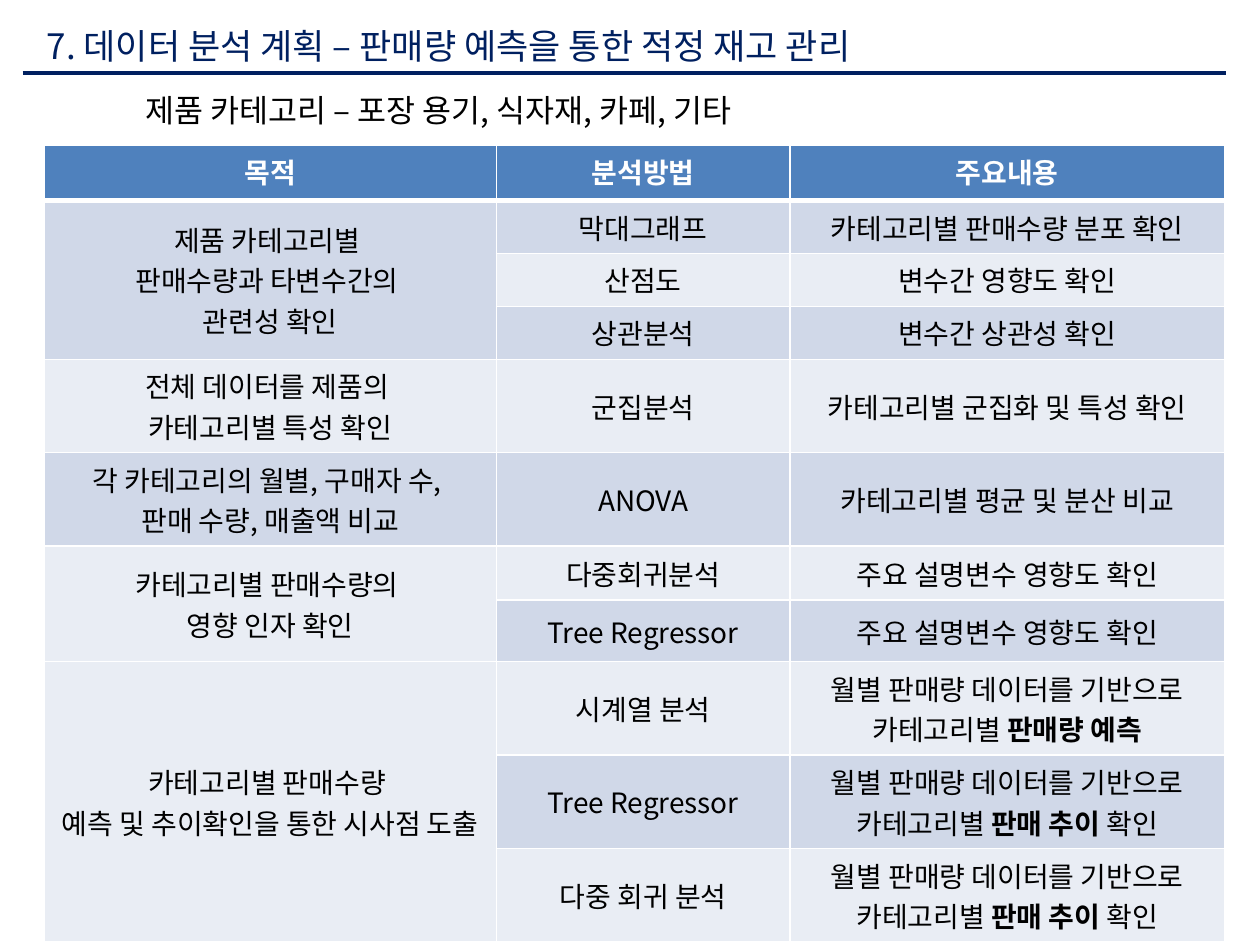
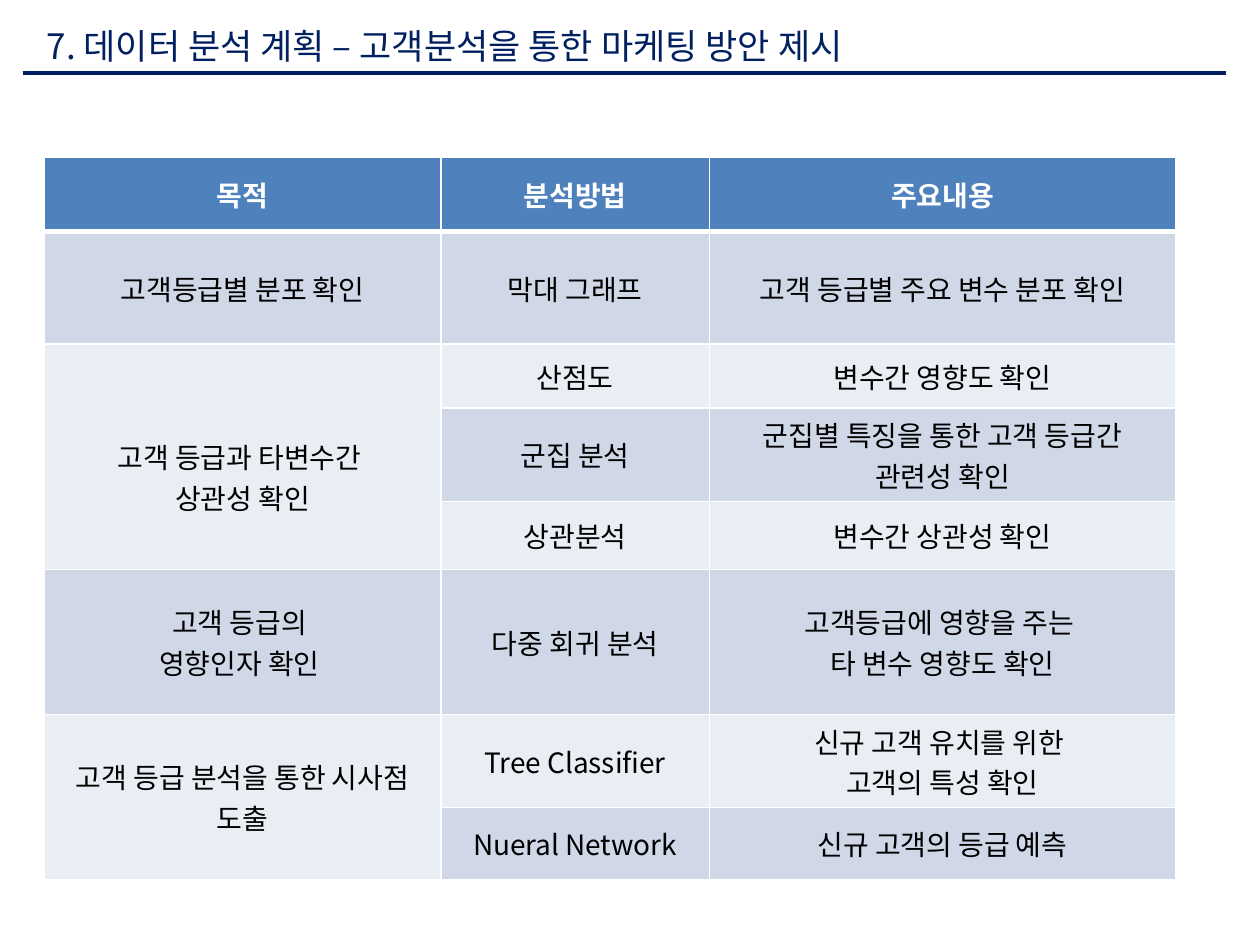
import lxml.etree
import pptx
import pptx.dml.color
import pptx.enum.shapes
import pptx.enum.text
import pptx.oxml.ns
import pptx.util

Inches = pptx.util.Inches
Pt = pptx.util.Pt
ANCHOR = pptx.enum.text.MSO_ANCHOR
ALIGN = pptx.enum.text.PP_ALIGN

FONT = "Noto Sans CJK KR"
NAVY, BLUE, WHITE, BLACK = "002060", "4F81BD", "FFFFFF", "000000"
BANDS = ("E9EDF4", "D0D8E8")  # even rows, odd rows
HEADINGS = ("목적", "분석방법", "주요내용")

# Each group is a purpose and its (method, content) rows; ** marks bold words.
SALES_GROUPS = [
    ("제품 카테고리별 \n판매수량과 타변수간의 \n관련성 확인", [
        ("막대그래프", "카테고리별 판매수량 분포 확인"),
        ("산점도", "변수간 영향도 확인"),
        ("상관분석", "변수간 상관성 확인")]),
    ("전체 데이터를 제품의 \n카테고리별 특성 확인", [
        ("군집분석", "카테고리별 군집화 및 특성 확인")]),
    ("각 카테고리의 월별, 구매자 수, \n판매 수량, 매출액 비교", [
        ("ANOVA", "카테고리별 평균 및 분산 비교")]),
    ("카테고리별 판매수량의 \n영향 인자 확인", [
        ("다중회귀분석", "주요 설명변수 영향도 확인"),
        ("Tree Regressor", "주요 설명변수 영향도 확인")]),
    ("카테고리별 판매수량 \n예측 및 추이확인을 통한 시사점 도출", [
        ("시계열 분석", "월별 판매량 데이터를 기반으로\n카테고리별 **판매량 예측**"),
        ("Tree Regressor", "월별 판매량 데이터를 기반으로\n카테고리별 **판매 추이** 확인"),
        ("다중 회귀 분석", "월별 판매량 데이터를 기반으로\n카테고리별 **판매 추이** 확인")]),
]
CUSTOMER_GROUPS = [
    ("고객등급별 분포 확인", [
        ("막대 그래프", "고객 등급별 주요 변수 분포 확인")]),
    ("고객 등급과 타변수간 \n상관성 확인", [
        ("산점도", "변수간 영향도 확인"),
        ("군집 분석", "군집별 특징을 통한 고객 등급간 관련성 확인"),
        ("상관분석", "변수간 상관성 확인")]),
    ("고객 등급의 \n영향인자 확인 ", [
        ("다중 회귀 분석", "고객등급에 영향을 주는 \n타 변수 영향도 확인")]),
    ("고객 등급 분석을 통한 시사점 도출", [
        ("Tree Classifier", "신규 고객 유치를 위한 \n고객의 특성 확인"),
        ("Nueral Network", "신규 고객의 등급 예측")]),
]


def color(value):
    """Turn a hex string into a colour."""
    return pptx.dml.color.RGBColor.from_string(value)


def write(frame, text, size=16, ink=BLACK, bold=False, align=ALIGN.LEFT):
    """Fill a text frame, one paragraph a line; ** switches bold."""
    for index, line in enumerate(text.split("\n")):
        para = frame.add_paragraph() if index else frame.paragraphs[0]
        para.alignment = align
        for part, words in enumerate(line.split("**")):
            if not words:
                continue
            span = para.add_run()
            span.text = words
            span.font.size = Pt(size)
            span.font.bold = bold or part % 2 == 1
            span.font.color.rgb = color(ink)
            span.font.name = FONT
            east_asian = lxml.etree.SubElement(
                span.font._element, pptx.oxml.ns.qn("a:ea"))
            east_asian.set("typeface", FONT)


def add_heading(page, text):
    """Place the slide title and the rule under it."""
    title = page.shapes.title
    title.left, title.top = Inches(0.27), Inches(0.15)
    title.width, title.height = Inches(7.85), Inches(0.43)
    frame = title.text_frame
    frame.auto_size = pptx.enum.text.MSO_AUTO_SIZE.NONE
    frame.word_wrap = True
    frame.vertical_anchor = ANCHOR.MIDDLE
    write(frame, text, size=20, ink=NAVY)
    rule = page.shapes.add_connector(
        pptx.enum.shapes.MSO_CONNECTOR.STRAIGHT,
        Inches(0.18), Inches(0.58), Inches(9.73), Inches(0.58))
    rule.line.color.rgb = color(NAVY)
    rule.line.width = Pt(2.25)
    lxml.etree.SubElement(rule._element.spPr, pptx.oxml.ns.qn("a:effectLst"))


def add_note(page, text, left, top, width, height):
    """Place a line of text above the table."""
    box = page.shapes.add_textbox(
        Inches(left), Inches(top), Inches(width), Inches(height))
    box.text_frame.word_wrap = True
    write(box.text_frame, text, size=18)


def add_borders(cell, top, bottom):
    """Draw white cell borders; top and bottom widths are in points."""
    qn = pptx.oxml.ns.qn
    properties = cell._tc.get_or_add_tcPr()
    for side, width in (("L", 1), ("R", 1), ("T", top), ("B", bottom)):
        line = lxml.etree.SubElement(properties, qn("a:ln" + side))
        line.set("w", str(Pt(width)))
        fill = lxml.etree.SubElement(line, qn("a:solidFill"))
        lxml.etree.SubElement(fill, qn("a:srgbClr")).set("val", WHITE)


def add_plan(page, groups, left, top, columns, rows, header_anchor=ANCHOR.MIDDLE):
    """Place the plan table: a header, then purposes merged over their rows."""
    table = page.shapes.add_table(
        len(rows), len(columns), Inches(left), Inches(top),
        Inches(sum(columns)), Inches(sum(rows))).table
    for column, width in zip(table.columns, columns):
        column.width = Inches(width)
    for number, (row, height) in enumerate(zip(table.rows, rows)):
        row.height = Inches(height)
        for cell in row.cells:
            add_borders(cell, 3 if number == 1 else 1, 1 if number else 3)
            cell.fill.solid()
            cell.fill.fore_color.rgb = color(BANDS[number % 2] if number else BLUE)
            cell.vertical_anchor = ANCHOR.MIDDLE if number else header_anchor

    for index, heading in enumerate(HEADINGS):
        write(table.cell(0, index).text_frame, heading,
              ink=WHITE, bold=True, align=ALIGN.CENTER)
    number = 1
    for purpose, steps in groups:
        first = table.cell(number, 0)
        if len(steps) > 1:
            first.merge(table.cell(number + len(steps) - 1, 0))
        write(first.text_frame, purpose, align=ALIGN.CENTER)
        for step in steps:
            for index, text in enumerate(step, start=1):
                write(table.cell(number, index).text_frame, text, align=ALIGN.CENTER)
            number += 1
    return table


def add_sales_page(deck):
    """Build the slide on sales forecasts."""
    page = deck.slides.add_slide(deck.slide_layouts[5])
    add_heading(page, "7. 데이터 분석 계획 – 판매량 예측을 통한 적정 재고 관리 ")
    add_plan(page, SALES_GROUPS, 0.35, 1.15, (3.59, 2.33, 3.45),
             (0.44, 0.41, 0.42, 0.36, 0.56, 0.62, 0.43, 0.49, 0.7, 0.7, 0.7),
             header_anchor=ANCHOR.TOP)
    add_note(page, "제품 카테고리 – 포장 용기, 식자재, 카페, 기타",
             1.06, 0.67, 5.63, 0.4)


def add_customer_page(deck):
    """Build the slide on customer analysis."""
    page = deck.slides.add_slide(deck.slide_layouts[5])
    add_heading(page, "7. 데이터 분석 계획 – 고객분석을 통한 마케팅 방안 제시 ")
    table = add_plan(page, CUSTOMER_GROUPS, 0.35, 1.25, (3.15, 2.13, 3.7),
                     (0.59, 0.89, 0.51, 0.69, 0.54, 1.15, 0.69, 0.57))
    table.cell(2, 0).margin_top = Inches(0.37)  # sets this purpose one line lower


deck = pptx.Presentation()
deck.slide_width, deck.slide_height = Inches(10), Inches(7.5)
add_sales_page(deck)
add_customer_page(deck)
deck.save("out.pptx")
